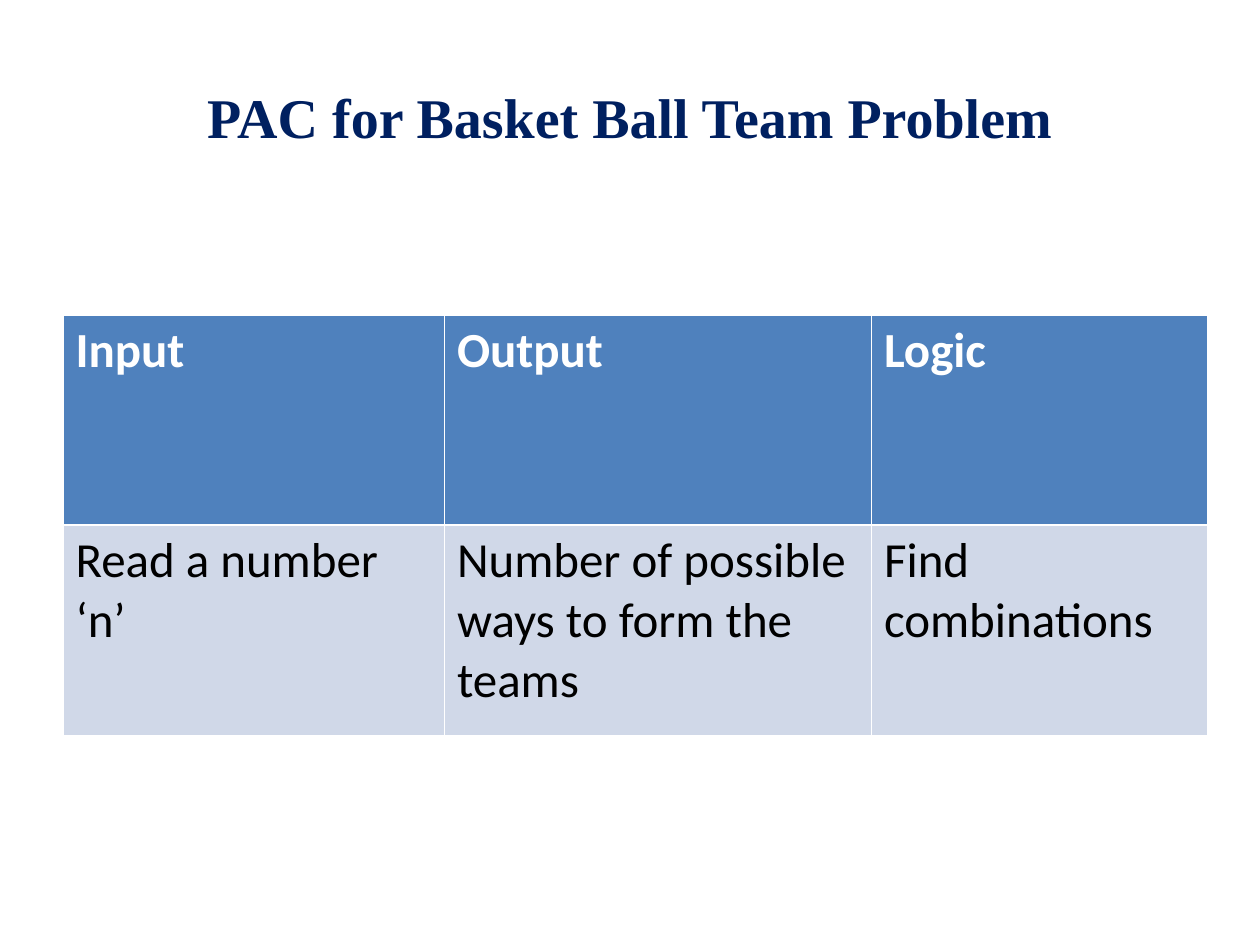
from lxml.etree import SubElement
from pptx import Presentation
from pptx.dml.color import RGBColor
from pptx.enum.text import MSO_ANCHOR, PP_ALIGN
from pptx.oxml.ns import qn
from pptx.util import Pt

NAVY = RGBColor(0x00, 0x20, 0x60)
BLUE = RGBColor(0x4F, 0x81, 0xBD)
PALE = RGBColor(0xD0, 0xD8, 0xE8)
WHITE = RGBColor(0xFF, 0xFF, 0xFF)
BLACK = RGBColor(0x00, 0x00, 0x00)

THIN, THICK = 0.45, 1.47
WIDTHS = [218, 244, 192]
ROWS = [
    ["Input", "Output", "Logic"],
    ["Read a number ‘n’", "Number of possible ways to form the teams",
     "Find combinations"],
]


def add_run(para, text, face, size, color, bold):
    run = para.add_run()
    run.text = text
    font = run.font
    font.name, font.size, font.bold = face, Pt(size), bold
    font.color.rgb = color


def set_edges(cell, top, bottom):
    # Borders come before the fill, so call this first
    props = cell._tc.get_or_add_tcPr()
    for side, width in (("L", THIN), ("R", THIN), ("T", top), ("B", bottom)):
        line = SubElement(props, qn(f"a:ln{side}"), w=str(int(Pt(width))))
        fill = SubElement(line, qn("a:solidFill"))
        SubElement(fill, qn("a:srgbClr"), val=str(WHITE))


def add_title(slide, left, top, width, height):
    box = slide.shapes.add_textbox(Pt(left), Pt(top), Pt(width), Pt(height))
    frame = box.text_frame
    frame.word_wrap = True
    frame.vertical_anchor = MSO_ANCHOR.MIDDLE
    para = frame.paragraphs[0]
    para.alignment = PP_ALIGN.CENTER
    add_run(para, "PAC for Basket Ball Team Problem",
            "Times New Roman", 32, NAVY, True)


def add_grid(slide, left, top, width, height):
    table = slide.shapes.add_table(
        len(ROWS), len(WIDTHS), Pt(left), Pt(top), Pt(width), Pt(height)).table
    for col, size in zip(table.columns, WIDTHS):
        col.width = Pt(size)
    for r, texts in enumerate(ROWS):
        head = r == 0
        for c, text in enumerate(texts):
            cell = table.cell(r, c)
            set_edges(cell, THIN if head else THICK, THICK if head else THIN)
            cell.fill.solid()
            cell.fill.fore_color.rgb = BLUE if head else PALE
            add_run(cell.text_frame.paragraphs[0], text, "Calibri", 28,
                    WHITE if head else BLACK, head)


def main():
    deck = Presentation()
    deck.slide_width, deck.slide_height = Pt(720), Pt(540)
    slide = deck.slides.add_slide(deck.slide_layouts[6])
    add_title(slide, 36, 21.6, 648, 90)
    add_grid(slide, 36, 180, sum(WIDTHS), 240)
    deck.save("out.pptx")


if __name__ == "__main__":
    main()
